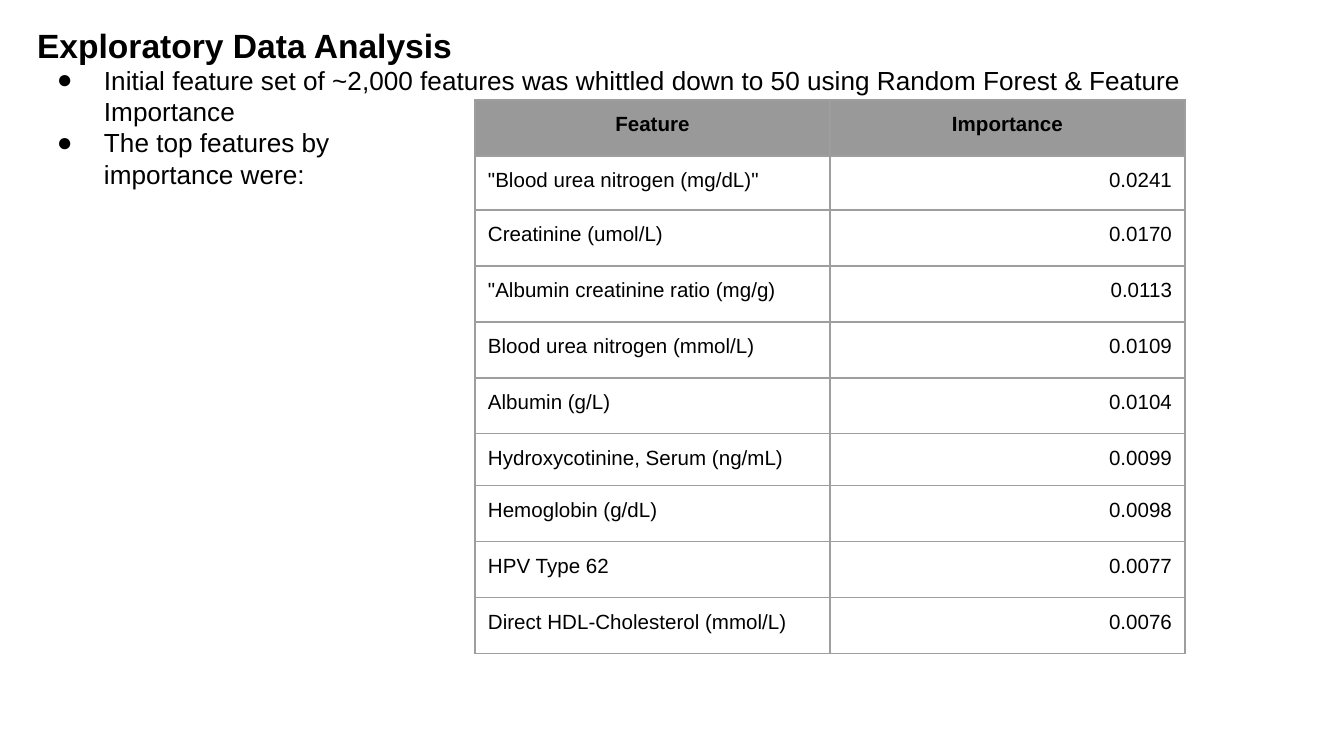
from dataclasses import dataclass
from lxml.etree import SubElement
from pptx import Presentation
from pptx.dml.color import RGBColor
from pptx.enum.text import MSO_ANCHOR, MSO_AUTO_SIZE, PP_ALIGN
from pptx.oxml.ns import qn
from pptx.util import Pt

SCALE = 914400 / 134.4


@dataclass(frozen=True)
class Theme:
    font: str = "Arial"
    ink: str = "000000"
    head: str = "999999"
    line: str = "9E9E9E"
    title: int = 18
    body: int = 14
    cell: int = 11
    inset: int = 13
    border: float = 0.75


THEME = Theme()

POINTS = [
    ("Initial feature set of ~2,000 features was whittled down to 50 "
     "using Random Forest & Feature Importance", True),
    ("The top features by", True),
    ("importance were:", False),
]

ROWS = [
    ("Feature", "Importance"),
    ('"Blood urea nitrogen (mg/dL)"', "0.0241"),
    ("Creatinine (umol/L)", "0.0170"),
    ('"Albumin creatinine ratio (mg/g)', "0.0113"),
    ("Blood urea nitrogen (mmol/L)", "0.0109"),
    ("Albumin (g/L)", "0.0104"),
    ("Hydroxycotinine, Serum (ng/mL)", "0.0099"),
    ("Hemoglobin (g/dL)", "0.0098"),
    ("HPV Type 62", "0.0077"),
    ("Direct HDL-Cholesterol (mmol/L)", "0.0076"),
]
HEIGHT = 56
SHORT = {1: 54, 6: 52}


def px(n):
    return round(n * SCALE)


def color(code):
    return RGBColor.from_string(code)


def add_run(para, text, size, bold=False):
    run = para.add_run()
    run.text = text
    font = run.font
    font.name, font.size, font.bold = THEME.font, Pt(size), bold
    font.color.rgb = color(THEME.ink)


def set_frame(frame, top, bottom):
    frame.word_wrap = True
    frame.auto_size = MSO_AUTO_SIZE.NONE
    frame.vertical_anchor = MSO_ANCHOR.TOP
    frame.margin_left = frame.margin_right = px(THEME.inset)
    frame.margin_top, frame.margin_bottom = px(top), px(bottom)


def add_title(slide, text):
    shape = slide.shapes.title
    shape.left, shape.top = px(24), px(12)
    shape.width, shape.height = px(1231), px(52)
    set_frame(shape.text_frame, THEME.inset, 0)
    para = shape.text_frame.paragraphs[0]
    para.alignment = PP_ALIGN.LEFT
    para.line_spacing = 1.0
    para.space_before = Pt(0)
    add_run(para, text, THEME.title, True)


def set_bullet(para, shown):
    props = para._p.get_or_add_pPr()
    props.set("marL", str(px(67)))
    props.set("indent", str(px(-47 if shown else 0)))
    if shown:
        tint = SubElement(props, qn("a:buClr"))
        SubElement(tint, qn("a:srgbClr"), val=THEME.ink)
        SubElement(props, qn("a:buFont"), typeface=THEME.font)
        SubElement(props, qn("a:buChar"), char="●")
    else:
        SubElement(props, qn("a:buNone"))


def add_points(slide, points):
    box = slide.shapes.add_textbox(px(24), px(64), px(1231), px(140))
    frame = box.text_frame
    set_frame(frame, 0, THEME.inset)
    for i, (text, shown) in enumerate(points):
        para = frame.add_paragraph() if i else frame.paragraphs[0]
        set_bullet(para, shown)
        add_run(para, text, THEME.body)


def set_border(cell):
    props = cell._tc.get_or_add_tcPr()
    for i, side in enumerate(("lnL", "lnR", "lnT", "lnB")):
        line = props.makeelement(qn(f"a:{side}"), {"w": str(Pt(THEME.border))})
        fill = SubElement(line, qn("a:solidFill"))
        SubElement(fill, qn("a:srgbClr"), val=THEME.line)
        props.insert(i, line)


def fill_cell(cell, text, align, head):
    if head:
        cell.fill.solid()
        cell.fill.fore_color.rgb = color(THEME.head)
    else:
        cell.fill.background()
    cell.margin_left = cell.margin_right = px(THEME.inset)
    cell.margin_top = cell.margin_bottom = px(THEME.inset)
    cell.vertical_anchor = MSO_ANCHOR.TOP
    para = cell.text_frame.paragraphs[0]
    para.alignment = align
    add_run(para, text, THEME.cell, head)
    set_border(cell)


def add_grid(slide, rows):
    sizes = [SHORT.get(i, HEIGHT) for i in range(len(rows))]
    frame = slide.shapes.add_table(len(rows), 2, px(475), px(100),
                                   px(710), px(sum(sizes)))
    table = frame.table
    table.first_row = table.horz_banding = False
    for i, row in enumerate(rows):
        table.rows[i].height = px(sizes[i])
        for j, text in enumerate(row):
            side = (PP_ALIGN.LEFT, PP_ALIGN.RIGHT)[j]
            align = side if i else PP_ALIGN.CENTER
            fill_cell(table.cell(i, j), text, align, i == 0)


def main():
    deck = Presentation()
    deck.slide_width, deck.slide_height = px(1344), px(756)
    slide = deck.slides.add_slide(deck.slide_layouts[5])
    add_title(slide, "Exploratory Data Analysis")
    add_points(slide, POINTS)
    add_grid(slide, ROWS)
    deck.save("out.pptx")


if __name__ == "__main__":
    main()
